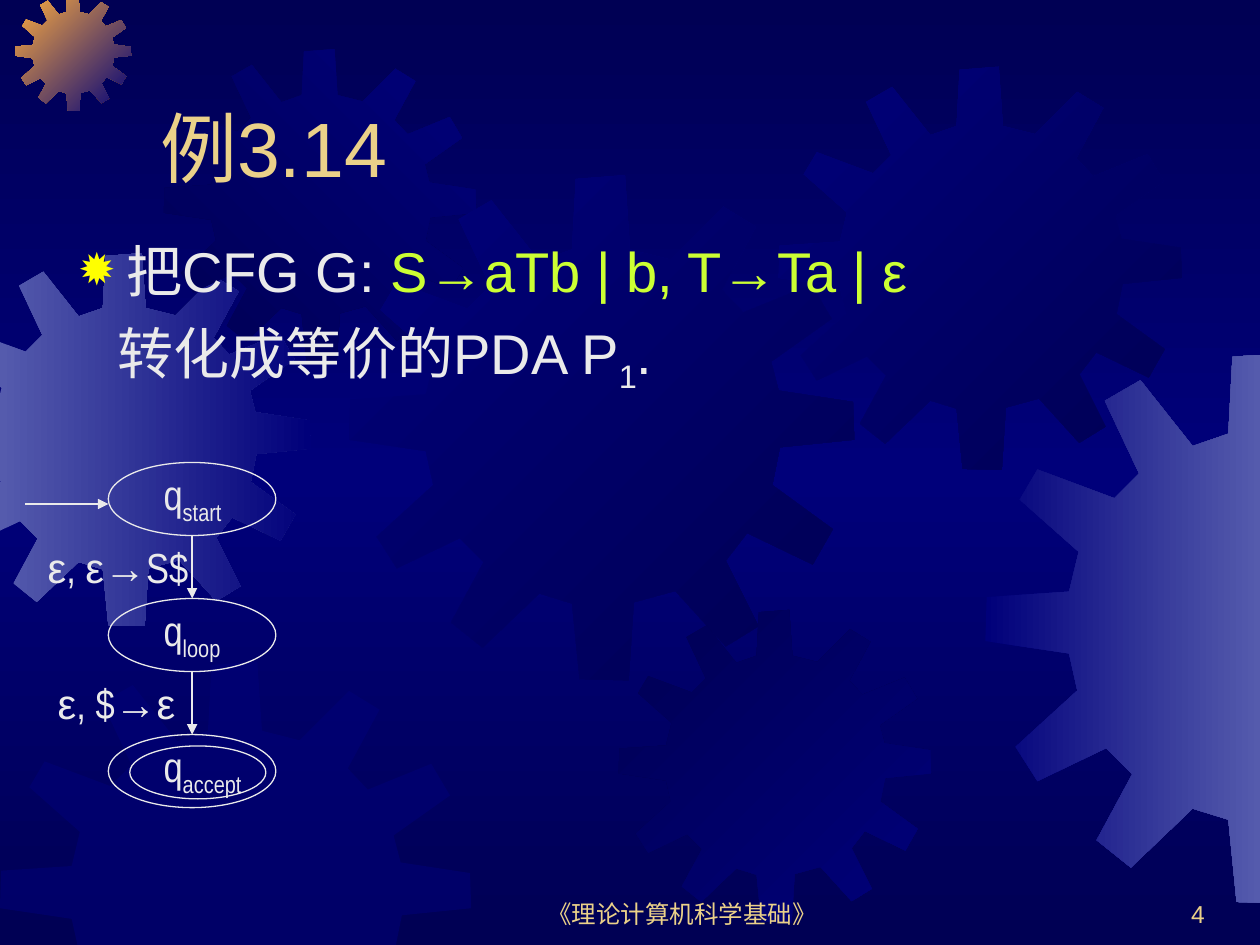
"""Build the slide on turning a grammar into an equivalent pushdown automaton."""
from copy import deepcopy

from lxml.etree import SubElement
from pptx import Presentation
from pptx.dml.color import RGBColor
from pptx.enum.shapes import MSO_CONNECTOR as Connector, MSO_SHAPE as Preset
from pptx.enum.text import MSO_ANCHOR as Anchor, MSO_AUTO_SIZE as AutoSize, PP_ALIGN as Align
from pptx.oxml.ns import qn
from pptx.util import Inches, Pt

WIDTH, HEIGHT = 10, 7.5
COLORS = {"navy": "000054", "blue": "00007A", "haze": "555BAD", "orange": "FCAB40",
          "gold": "EBD189", "white": "EAEAEA", "lime": "CCFF33", "yellow": "FFFF00"}
GEAR_SPAN = 401
GEAR_OUTLINE = [
    (255, 67), (223, 59), (219, 0), (180, 3), (177, 59), (151, 68), (113, 20), (87, 35),
    (112, 88), (94, 106), (38, 85), (25, 107), (68, 145), (61, 174), (1, 178), (0, 210),
    (61, 219), (67, 246), (22, 287), (38, 312), (88, 288), (107, 307), (81, 355), (106, 375),
    (151, 332), (177, 340), (183, 400), (222, 401), (226, 339), (259, 330), (299, 374),
    (325, 358), (299, 306), (316, 284), (368, 309), (384, 281), (336, 246), (342, 216),
    (401, 210), (400, 180), (341, 171), (335, 148), (383, 114), (367, 87), (313, 109),
    (296, 91), (323, 41), (297, 25)]
GEARS = [(-0.49, 2.01, 2.96, ("haze", "blue"), 0),
         (0.12, -0.04, 0.92, ("orange", "blue"), 45),
         (1.3, 0.39, 2.48, ("navy", "blue"), 315),
         (2.77, 1.39, 4.01, ("blue", "navy"), 45),
         (0, 5.25, 3.74, ("blue",), 0),
         (4.91, 4.84, 2.48, ("navy", "blue"), 45),
         (6.18, 0.53, 3.2, ("blue", "navy"), 45),
         (7.82, 2.8, 4.37, ("blue", "haze"), 0)]
STATE_LEFT, STATE_TOP, STATE_PITCH = 0.86, 3.67, 1.08
STATE_WIDTH, STATE_HEIGHT = 1.33, 0.58
TITLE = {"size": Pt(44), "name": "Arial", "color": "gold"}
BODY = {"size": Pt(32), "name": "Arial", "color": "white"}
FOOTER = {"size": Pt(14), "name": "Arial", "color": "gold"}
SYMBOL = {"size": Pt(24), "name": "Arial", "color": "white"}
LABEL = SYMBOL | {"name": "Arial Narrow"}


def rgb(name):
    return RGBColor.from_string(COLORS[name])


def apply(target, formats):
    for attribute, value in formats.items():
        setattr(target, attribute, value)


def place(shape, left, top, width, height):
    apply(shape, {"left": Inches(left), "top": Inches(top),
                  "width": Inches(width), "height": Inches(height)})


def clip(outline, axis, limit, side):
    """Cut an outline at a slide edge, keeping the part where side * (value - limit) >= 0."""
    kept = []
    for start, end in zip(outline[-1:] + outline[:-1], outline):
        before, after = (side * (point[axis] - limit) for point in (start, end))
        if before * after < 0:
            share = before / (before - after)
            kept.append(tuple(a + share * (b - a) for a, b in zip(start, end)))
        if after >= 0:
            kept.append(end)
    return kept


def fill_gradient(fill, colors, angle):
    fill.gradient()
    fill.gradient_angle = -angle % 360
    for position, (stop, color) in enumerate(zip(fill.gradient_stops, colors)):
        stop.position = position
        stop.color.rgb = rgb(color)


def paint_background(slide):
    fill_gradient(slide.background.fill, ("navy", "blue"), 90)
    stops = slide.element.xpath("./p:cSld/p:bg//a:gsLst")[0]
    stops[1].set("pos", "50000")
    last = deepcopy(stops[0])
    last.set("pos", "100000")
    stops.append(last)


def add_gear(slide, left, top, size, colors, angle):
    scale = size / GEAR_SPAN
    outline = [(left + x * scale, top + y * scale) for x, y in GEAR_OUTLINE]
    for edge in ((0, 0, 1), (0, WIDTH, -1), (1, 0, 1), (1, HEIGHT, -1)):
        outline = clip(outline, *edge)
    points = [(Inches(x), Inches(y)) for x, y in outline]
    builder = slide.shapes.build_freeform(*points[0])
    builder.add_line_segments(points[1:])
    gear = builder.convert_to_shape()
    gear.shadow.inherit = False
    gear.line.fill.background()
    if len(colors) > 1:
        fill_gradient(gear.fill, colors, angle)
    else:
        gear.fill.solid()
        gear.fill.fore_color.rgb = rgb(colors[0])
        color = gear.element.xpath("./p:spPr/a:solidFill/a:srgbClr")[0]
        SubElement(color, qn("a:alpha"), val="50000")


def write(paragraph, *parts):
    for text, style in parts:
        run = paragraph.add_run()
        run.text = text
        apply(run.font, {"size": style["size"], "name": style["name"]})
        run.font.color.rgb = rgb(style["color"])
        if "baseline" in style:
            run.font._element.set("baseline", style["baseline"])


def add_text(slide, box, parts, frame_format, align=Align.LEFT):
    frame = slide.shapes.add_textbox(*map(Inches, box)).text_frame
    apply(frame, {"word_wrap": True} | frame_format)
    frame.paragraphs[0].alignment = align
    write(frame.paragraphs[0], *parts)


def add_oval(slide, *box):
    oval = slide.shapes.add_shape(Preset.OVAL, *map(Inches, box))
    oval.shadow.inherit = False
    oval.fill.background()
    oval.line.color.rgb = rgb("white")
    oval.line.width = Pt(0.75)


def add_arrow(slide, *ends):
    arrow = slide.shapes.add_connector(Connector.STRAIGHT, *map(Inches, ends))
    arrow.line.color.rgb = rgb("white")
    arrow.line.width = Pt(0.75)
    SubElement(arrow.line._get_or_add_ln(), qn("a:tailEnd"), type="triangle")
    SubElement(arrow.element.spPr, qn("a:effectLst"))


def add_state(slide, index, name):
    top = STATE_TOP + index * STATE_PITCH
    add_oval(slide, STATE_LEFT, top, STATE_WIDTH, STATE_HEIGHT)
    add_text(slide, (1.2, top, 0.92, 0.56),
             [("q", LABEL), (name, LABEL | {"baseline": "-25000"})],
             {"auto_size": AutoSize.SHAPE_TO_FIT_TEXT})


def add_transition(slide, index, left, parts):
    start = STATE_TOP + index * STATE_PITCH + STATE_HEIGHT
    end = STATE_TOP + (index + 1) * STATE_PITCH
    center = STATE_LEFT + STATE_WIDTH / 2
    add_arrow(slide, center, start, center, end)
    add_text(slide, (left, start, 1.5, 0.5), parts,
             {"auto_size": AutoSize.SHAPE_TO_FIT_TEXT})


def fill_title(title):
    place(title, 1.17, 0.33, 8.5, 1.25)
    apply(title.text_frame, {"vertical_anchor": Anchor.BOTTOM, "auto_size": AutoSize.NONE})
    heading = title.text_frame.paragraphs[0]
    heading.alignment = Align.LEFT
    write(heading, ("例3.14", TITLE))


def fill_body(body):
    place(body, 0.52, 1.83, 8.5, 1.42)
    apply(body.text_frame, {"vertical_anchor": Anchor.TOP, "auto_size": AutoSize.NONE})
    grammar = body.text_frame.paragraphs[0]
    task = body.text_frame.add_paragraph()
    for paragraph, margin, indent, space in ((grammar, 0.38, -0.38, 0), (task, 0.31, 0, 8)):
        paragraph.space_before = Pt(space)
        properties = paragraph._p.get_or_add_pPr()
        properties.set("marL", str(Inches(margin)))
        properties.set("indent", str(Inches(indent)))
    bullet = grammar._p.get_or_add_pPr()
    SubElement(SubElement(bullet, qn("a:buClr")), qn("a:srgbClr"), val=COLORS["yellow"])
    SubElement(bullet, qn("a:buSzPct"), val="80000")
    SubElement(bullet, qn("a:buChar"), char="✹")
    SubElement(task._p.get_or_add_pPr(), qn("a:buNone"))
    write(grammar, ("把CFG G: ", BODY), ("S→aTb | b, T→Ta | ε", BODY | {"color": "lime"}))
    write(task, ("转化成等价的PDA P", BODY), ("1", BODY | {"baseline": "-25000"}), (".", BODY))


def main():
    deck = Presentation()
    apply(deck, {"slide_width": Inches(WIDTH), "slide_height": Inches(HEIGHT)})
    slide = deck.slides.add_slide(deck.slide_layouts[1])
    paint_background(slide)
    for gear in GEARS:
        add_gear(slide, *gear)
    bottom = {"vertical_anchor": Anchor.BOTTOM}
    add_text(slide, (3.83, 6.92, 3.17, 0.5), [("《理论计算机科学基础》", FOOTER)],
             bottom, Align.CENTER)
    add_text(slide, (7.58, 6.92, 2.08, 0.5), [("4", FOOTER)], bottom, Align.RIGHT)
    title, body = slide.placeholders
    fill_title(title)
    fill_body(body)
    for placeholder in (title, body):
        slide.shapes.element.append(placeholder.element)
    for index, name in enumerate(("start", "loop", "accept")):
        add_state(slide, index, name)
    add_oval(slide, 1.03, 5.92, 1.08, 0.42)
    add_arrow(slide, 0.2, 4, STATE_LEFT, 4)
    add_transition(slide, 0, 0.28,
                   [("ε", SYMBOL), (", ", LABEL), ("ε→", SYMBOL), ("S$", LABEL)])
    add_transition(slide, 1, 0.36, [("ε", SYMBOL), (", $", LABEL), ("→ε", SYMBOL)])
    deck.save("out.pptx")


if __name__ == "__main__":
    main()
